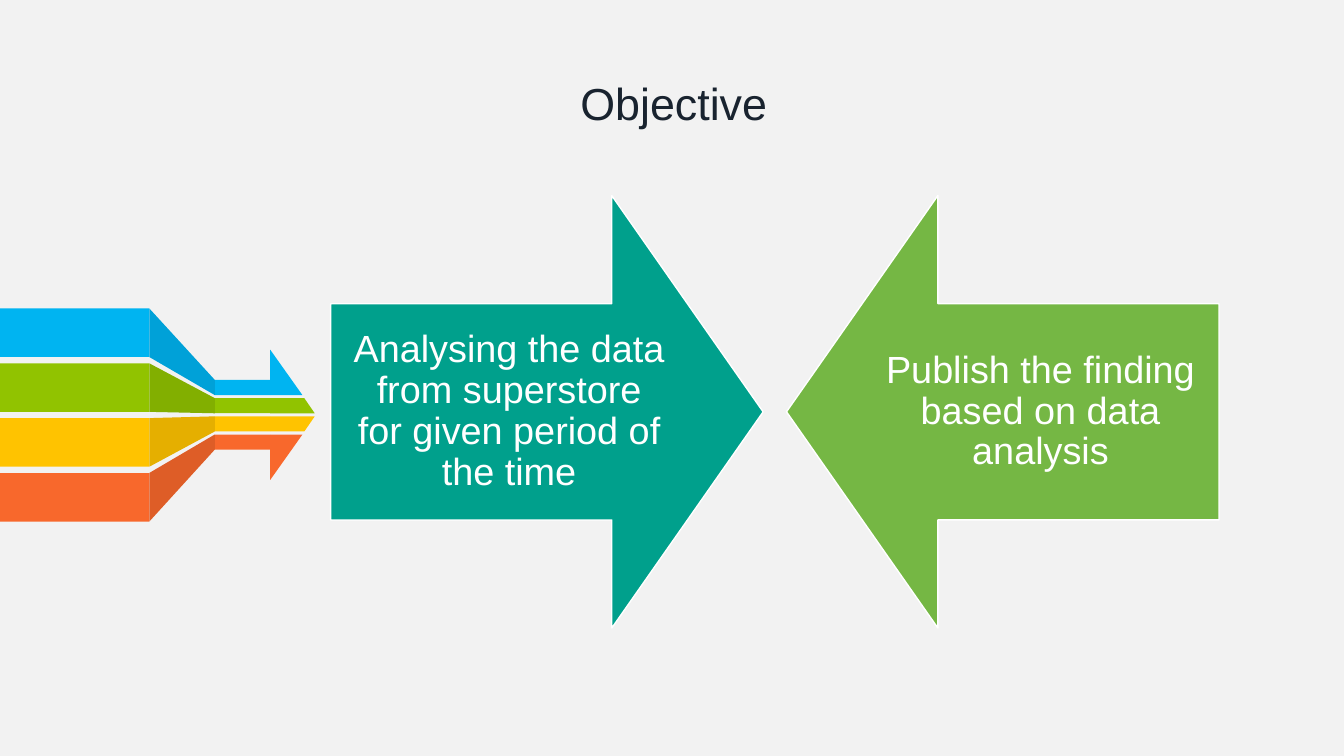
from dataclasses import dataclass

from lxml import etree
from pptx import Presentation
from pptx.dml.color import RGBColor
from pptx.enum import shapes, text
from pptx.oxml import ns
from pptx.util import Pt


@dataclass(frozen=True)
class Theme:
    font: str = "Arial"
    background: str = "F2F2F2"
    title_color: str = "19232F"
    title_size: float = 32
    label_color: str = "FFFFFF"
    label_size: float = 27
    line_spacing: float = 0.9
    shade: str = "000000"
    shade_alpha: int = 10
    stripes: tuple = ("00B4F1", "91C300", "FFC300", "F8682C")
    analyse: str = "00A08C"
    publish: str = "75B744"


THEME = Theme()

# Stripes: wide bands narrow into thin ones, then end in a shared arrowhead
BAND_END, FUNNEL_END, HEAD_START = 106.6, 153.4, 193
HEAD_SIDE, HEAD_SHOULDER, HEAD_TIP = 216, 217.4, 224.8
HEAD_FLARE = 21.6
WIDE_TOP, WIDE_STEP, WIDE_HEIGHT = 220.3, 39.2, 34.7
THIN_TOP, THIN_STEP, THIN_HEIGHT = 271.4, 13, 10.8

# Facing arrows
ARROW_TOP, ARROW_SIZE, ARROW_HEAD = 139.7, 308.9, 0.35
LABEL_WIDTH, LABEL_INSET = 254.9, 15.1


def paint(shape, color, line=None):
    shape.shadow.inherit = False
    shape.fill.solid()
    shape.fill.fore_color.rgb = RGBColor.from_string(color)
    if line:
        shape.line.color.rgb = RGBColor.from_string(line)
        shape.line.width = Pt(1)
    else:
        shape.line.fill.background()


def set_alpha(shape, percent):
    color = shape.fill._xPr.find(".//" + ns.qn("a:srgbClr"))
    etree.SubElement(color, ns.qn("a:alpha"), val=str(percent * 1000))


def write(frame, words, size, color, anchor):
    frame.word_wrap = True
    frame.auto_size = text.MSO_AUTO_SIZE.NONE
    frame.vertical_anchor = anchor
    paragraph = frame.paragraphs[0]
    paragraph.alignment = text.PP_ALIGN.CENTER
    paragraph.line_spacing = THEME.line_spacing
    run = paragraph.add_run()
    run.text = words
    run.font.name = THEME.font
    run.font.size = Pt(size)
    run.font.color.rgb = RGBColor.from_string(color)


def place(shape, left, top, width, height):
    shape.left, shape.top = Pt(left), Pt(top)
    shape.width, shape.height = Pt(width), Pt(height)


def add_title(slide, words):
    title = slide.shapes.title
    place(title, 60.5, 54.7, 841.7, 65.5)
    write(title.text_frame, words, THEME.title_size, THEME.title_color,
          text.MSO_ANCHOR.TOP)


def add_band(group, left, top, right, height, color):
    band = group.shapes.add_shape(shapes.MSO_SHAPE.RECTANGLE, Pt(left), Pt(top),
                                  Pt(right - left), Pt(height))
    paint(band, color)


def add_polygon(group, corners, color):
    start, *others = [(Pt(x), Pt(y)) for x, y in corners]
    builder = group.shapes.build_freeform(*start)
    builder.add_line_segments(others, close=True)
    polygon = builder.convert_to_shape()
    paint(polygon, color)
    return polygon


def head_corners(index, top, bottom):
    """Outline of one stripe's part of the head; lower stripes mirror upper ones."""
    upper = index < len(THEME.stripes) / 2
    near, far = (bottom, top) if upper else (top, bottom)
    if index in (0, len(THEME.stripes) - 1):
        flare = far - HEAD_FLARE if upper else far + HEAD_FLARE
        return [(HEAD_SIDE, near), (HEAD_START, near), (HEAD_START, flare)]
    return [(HEAD_TIP, near), (HEAD_START, near),
            (HEAD_START, far), (HEAD_SHOULDER, far)]


def add_stripe(group, index, color):
    wide = WIDE_TOP + index * WIDE_STEP
    thin = THIN_TOP + index * THIN_STEP
    funnel = [(BAND_END, wide), (BAND_END, wide + WIDE_HEIGHT),
              (FUNNEL_END, thin + THIN_HEIGHT), (FUNNEL_END, thin)]
    add_band(group, 0, wide, BAND_END, WIDE_HEIGHT, color)
    add_polygon(group, funnel, color)
    add_band(group, FUNNEL_END, thin, HEAD_START, THIN_HEIGHT, color)
    add_polygon(group, head_corners(index, thin, thin + THIN_HEIGHT), color)
    set_alpha(add_polygon(group, funnel, THEME.shade), THEME.shade_alpha)


def add_facing_arrow(group, left, rotation, label_left, words, color):
    arrow = group.shapes.add_shape(shapes.MSO_SHAPE.DOWN_ARROW, Pt(left),
                                   Pt(ARROW_TOP), Pt(ARROW_SIZE), Pt(ARROW_SIZE))
    arrow.rotation = rotation
    arrow.adjustments[0] = 0.5
    arrow.adjustments[1] = ARROW_HEAD
    paint(arrow, color, THEME.label_color)

    label = group.shapes.add_textbox(Pt(label_left), Pt(ARROW_TOP + ARROW_SIZE / 4),
                                     Pt(LABEL_WIDTH), Pt(ARROW_SIZE / 2))
    frame = label.text_frame
    frame.margin_left = frame.margin_right = Pt(LABEL_INSET)
    frame.margin_top = frame.margin_bottom = Pt(LABEL_INSET)
    write(frame, words, THEME.label_size, THEME.label_color, text.MSO_ANCHOR.MIDDLE)


def main():
    deck = Presentation()
    deck.slide_width, deck.slide_height = Pt(960), Pt(540)
    slide = deck.slides.add_slide(deck.slide_layouts.get_by_name("Title Only"))
    slide.background.fill.solid()
    slide.background.fill.fore_color.rgb = RGBColor.from_string(THEME.background)

    add_title(slide, "Objective")

    stripes = slide.shapes.add_group_shape()
    for index, color in enumerate(THEME.stripes):
        add_stripe(stripes, index, color)

    objectives = slide.shapes.add_group_shape()
    analyse_left, publish_left = 236.2, 561.8
    add_facing_arrow(objectives, analyse_left, 270, analyse_left,
                     "Analysing the data from superstore for given period of the time",
                     THEME.analyse)
    add_facing_arrow(objectives, publish_left, 90,
                     publish_left + ARROW_SIZE - LABEL_WIDTH,
                     "Publish the finding based on data analysis", THEME.publish)

    deck.save("out.pptx")


if __name__ == "__main__":
    main()
